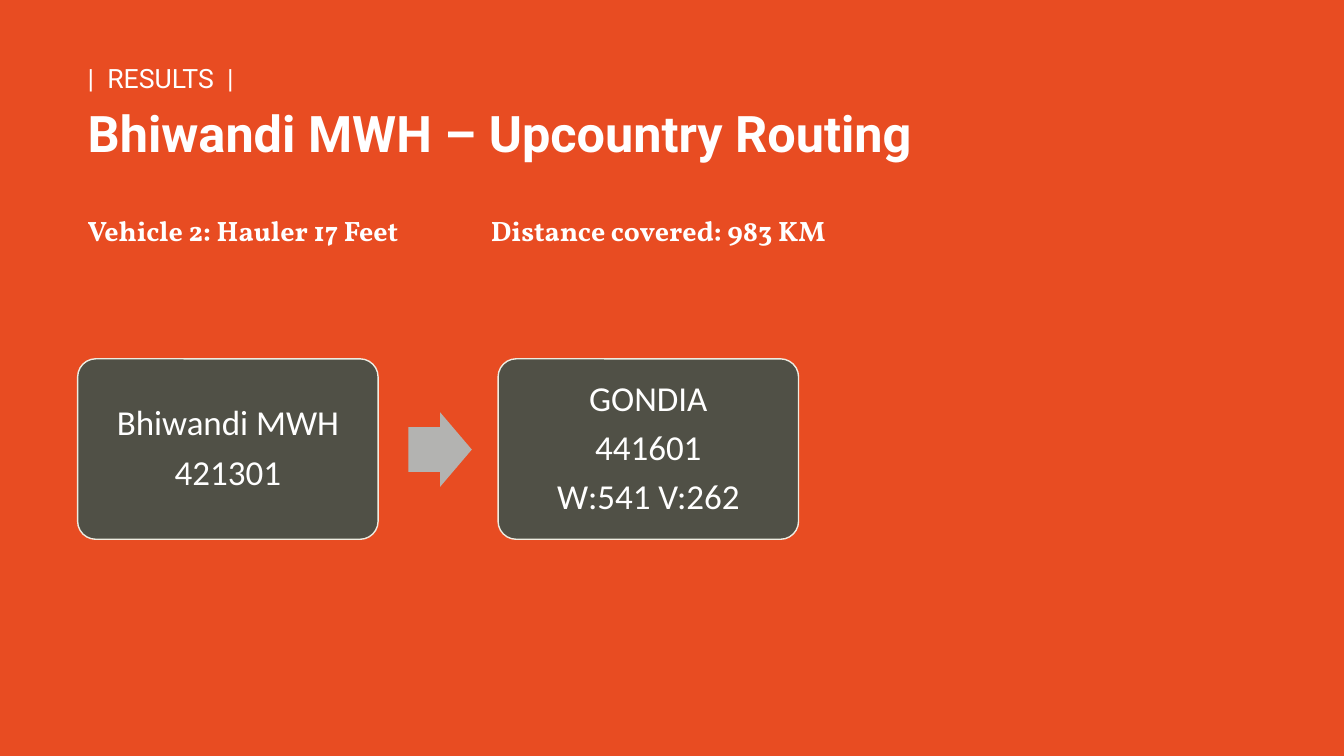
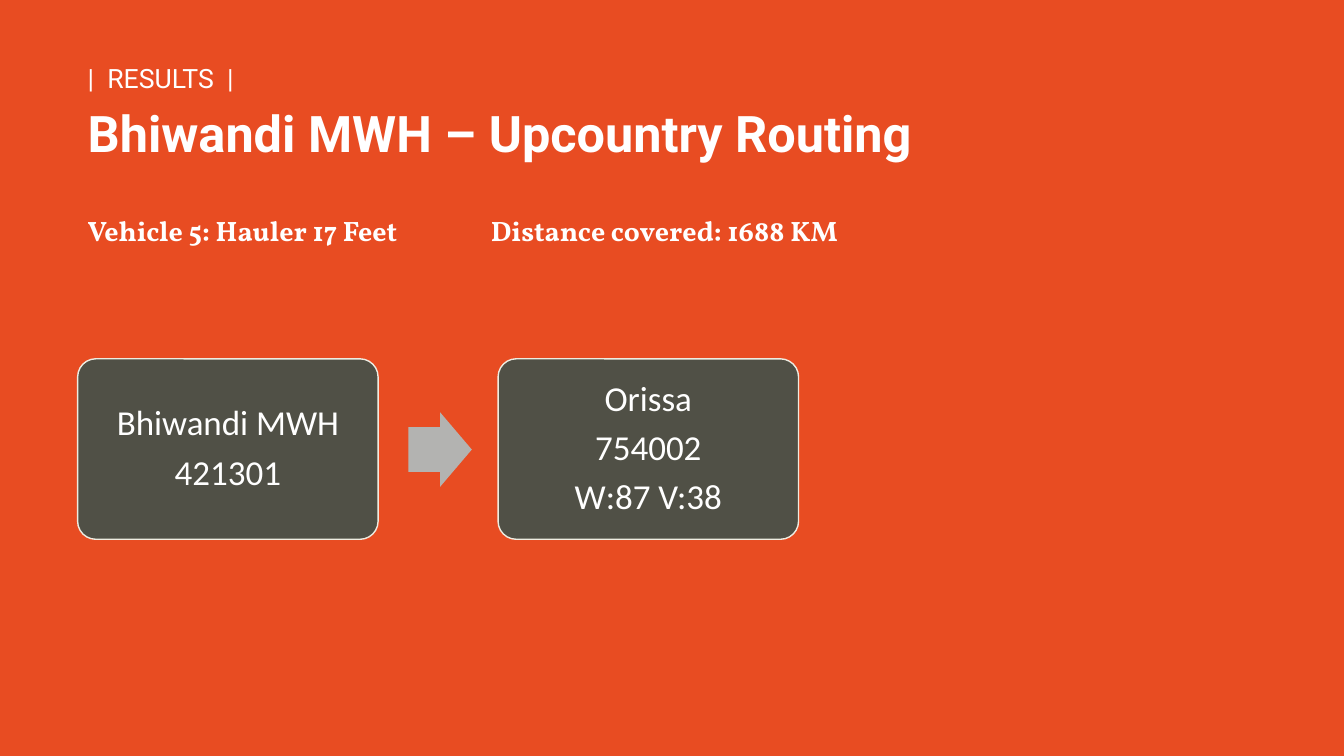
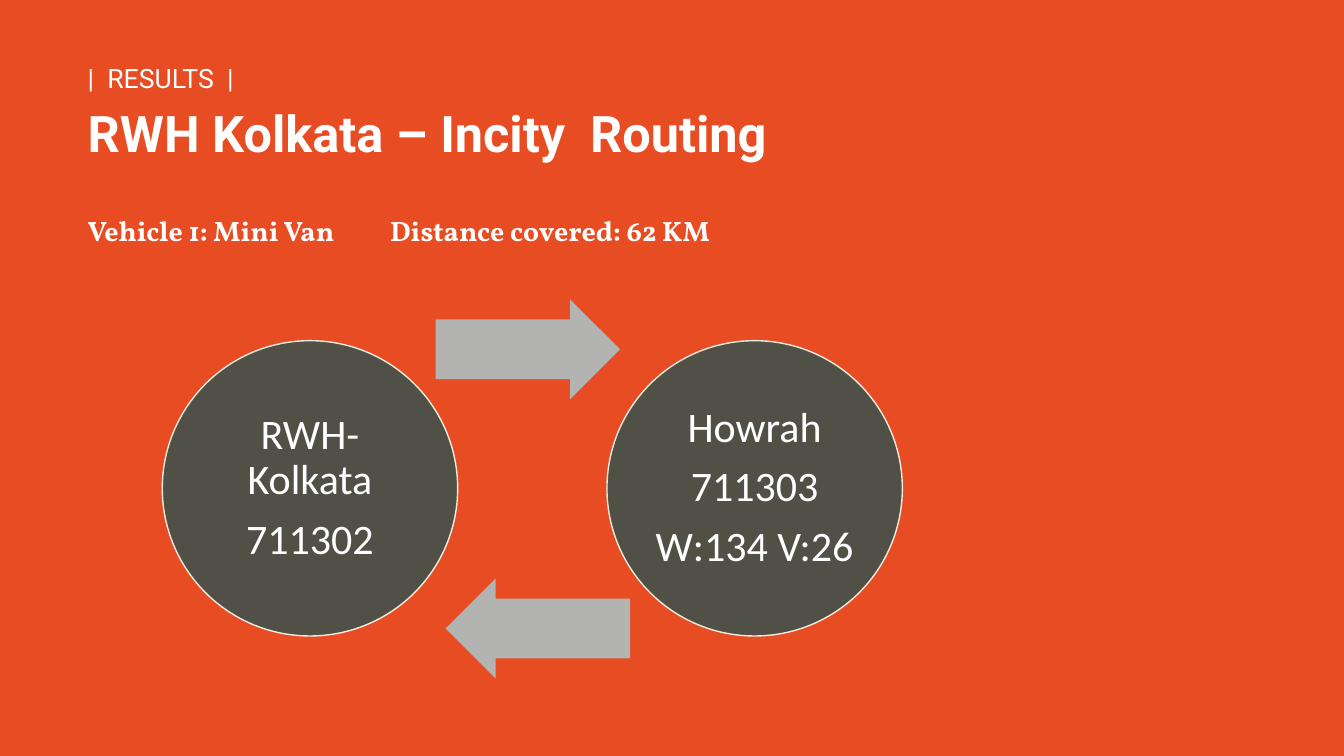
import pptx
import pptx.util
import pptx.dml.color
import pptx.enum.shapes
import pptx.enum.text
from lxml import etree

Inches = pptx.util.Inches
Pt = pptx.util.Pt
RGBColor = pptx.dml.color.RGBColor
SHAPE = pptx.enum.shapes.MSO_SHAPE
ALIGN = pptx.enum.text.PP_ALIGN
ANCHOR = pptx.enum.text.MSO_ANCHOR
AUTO_SIZE = pptx.enum.text.MSO_AUTO_SIZE

ORANGE = RGBColor(0xE8, 0x4C, 0x22)
OLIVE = RGBColor(0x50, 0x50, 0x46)
CREAM = RGBColor(0xEE, 0xEC, 0xE1)
GREY = RGBColor(0xB3, 0xB3, 0xB1)
WHITE = RGBColor(0xFF, 0xFF, 0xFF)

TITLE_FONT = "Roboto"
FACTS_FONT = "Vollkorn"
STOP_FONT = "Calibri"
LEFT = 0.77
TITLE_ONLY = 5


class RoutingDeck:
    """Holds the shared style and the slide being built."""

    def __init__(self):
        self.presentation = pptx.Presentation()
        self.presentation.slide_width = Inches(13.33)
        self.presentation.slide_height = Inches(7.5)
        self.slide = None

    def add_run(self, paragraph, text, font, size, bold=False):
        run = paragraph.add_run()
        run.text = text
        run.font.name = font
        run.font.size = Pt(size)
        run.font.bold = bold
        run.font.color.rgb = WHITE

    def add_slide(self, title):
        layout = self.presentation.slide_layouts[TITLE_ONLY]
        self.slide = self.presentation.slides.add_slide(layout)
        self.slide.background.fill.solid()
        self.slide.background.fill.fore_color.rgb = ORANGE

        # Section label above the title, in one placeholder
        placeholder = self.slide.shapes.title
        placeholder.left, placeholder.top = Inches(LEFT), Inches(0.61)
        placeholder.width, placeholder.height = Inches(11.43), Inches(1.24)
        frame = placeholder.text_frame
        frame.auto_size = AUTO_SIZE.NONE
        frame.vertical_anchor = ANCHOR.TOP
        label, heading = frame.paragraphs[0], frame.add_paragraph()
        for paragraph in (label, heading):
            paragraph.alignment = ALIGN.LEFT
            paragraph.line_spacing = 0.85
        heading.space_before = Pt(13)
        self.add_run(label, "|  RESULTS  |", TITLE_FONT, 19)
        self.add_run(heading, title, TITLE_FONT, 36, bold=True)

    def add_facts(self, vehicle, distance, tab):
        """Vehicle and distance on one line, parted by a tab stop."""
        box = self.slide.shapes.add_textbox(
            Inches(LEFT), Inches(2.07), Inches(8.59), Inches(0.44))
        frame = box.text_frame
        frame.word_wrap = True
        frame.auto_size = AUTO_SIZE.SHAPE_TO_FIT_TEXT
        paragraph = frame.paragraphs[0]
        properties = paragraph._p.get_or_add_pPr()
        namespace = etree.QName(properties).namespace
        tabs = etree.SubElement(properties, f"{{{namespace}}}tabLst")
        etree.SubElement(tabs, f"{{{namespace}}}tab",
                         pos=str(Inches(tab)), algn="l")
        text = f"Vehicle {vehicle}\tDistance covered: {distance} KM"
        self.add_run(paragraph, text, FACTS_FONT, 20, bold=True)

    def add_shape(self, kind, left, top, width, height, color):
        shape = self.slide.shapes.add_shape(
            kind, Inches(left), Inches(top), Inches(width), Inches(height))
        shape.shadow.inherit = False
        shape.fill.solid()
        shape.fill.fore_color.rgb = color
        shape.line.fill.background()
        return shape

    def add_stop(self, kind, left, top, width, height, lines, size, inset):
        shape = self.add_shape(kind, left, top, width, height, OLIVE)
        shape.line.color.rgb = CREAM
        shape.line.width = Pt(1)
        frame = shape.text_frame
        frame.word_wrap = True
        frame.vertical_anchor = ANCHOR.MIDDLE
        frame.margin_left = frame.margin_right = Inches(inset)
        frame.margin_top = frame.margin_bottom = Inches(inset)
        for index, line in enumerate(lines):
            paragraph = frame.add_paragraph() if index else frame.paragraphs[0]
            paragraph.alignment = ALIGN.CENTER
            paragraph.line_spacing = 0.9
            paragraph.space_after = Pt(size * 0.33)
            self.add_run(paragraph, line, STOP_FONT, size)
        return shape

    def add_arrow(self, left, top, width, height, rotation=0):
        arrow = self.add_shape(SHAPE.RIGHT_ARROW, left, top, width, height, GREY)
        arrow.adjustments[0] = 0.6
        arrow.adjustments[1] = 0.5
        arrow.rotation = rotation

    def add_one_way_route(self, stops):
        """Rounded boxes in a row, with an arrow in each gap."""
        pitch = 4.17
        for index, lines in enumerate(stops):
            left = LEFT + index * pitch
            box = self.add_stop(SHAPE.ROUNDED_RECTANGLE, left, 3.56, 2.98, 1.79,
                                lines, 25, 0.1)
            box.adjustments[0] = 0.1
            if index:
                self.add_arrow(left - 0.89, 4.09, 0.63, 0.74)

    def add_round_trip(self, stops):
        """Two circles with an arrow each way."""
        for index, lines in enumerate(stops):
            self.add_stop(SHAPE.OVAL, 1.61 + index * 4.41, 3.38, 2.93, 2.93,
                          lines, 30, 0.04)
        self.add_arrow(4.32, 2.97, 1.83, 0.99)
        self.add_arrow(4.42, 5.74, 1.83, 0.99, rotation=180)


def main():
    deck = RoutingDeck()

    # Upcountry routes from Bhiwandi
    upcountry = [
        ("2: Hauler 17 Feet", 983, ["GONDIA", "441601", "W:541 V:262"]),
        ("5: Hauler 17 Feet", 1688, ["Orissa", "754002", "W:87 V:38"]),
    ]
    for vehicle, distance, destination in upcountry:
        deck.add_slide("Bhiwandi MWH – Upcountry Routing")
        deck.add_facts(vehicle, distance, tab=4)
        deck.add_one_way_route([["Bhiwandi MWH", "421301"], destination])

    # City round trip from Kolkata
    deck.add_slide("RWH Kolkata – Incity  Routing")
    deck.add_facts("1: Mini Van", 62, tab=3)
    deck.add_round_trip([["RWH-Kolkata", "711302"],
                         ["Howrah", "711303", "W:134 V:26"]])

    deck.presentation.save("out.pptx")


if __name__ == "__main__":
    main()
